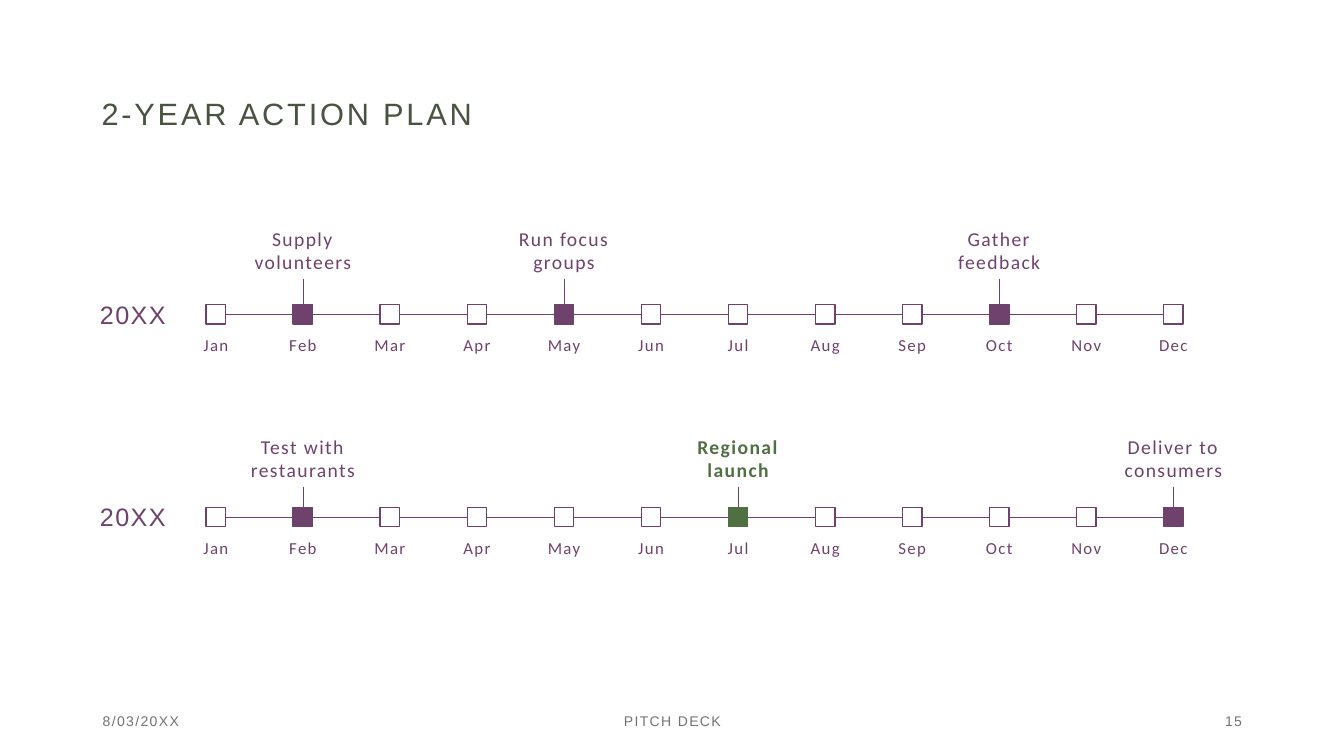
from lxml import etree
from pptx import Presentation
from pptx.dml.color import RGBColor
from pptx.enum.shapes import MSO_CONNECTOR, MSO_SHAPE
from pptx.enum.text import MSO_ANCHOR, PP_ALIGN
from pptx.oxml.ns import qn
from pptx.util import Cm, Pt

PLUM = RGBColor(0x6F, 0x42, 0x6D)
GREEN = RGBColor(0x50, 0x6F, 0x42)
OLIVE = RGBColor(0x48, 0x54, 0x41)
GREY = RGBColor(0x76, 0x71, 0x71)

LEFT, CENTER, RIGHT = PP_ALIGN.LEFT, PP_ALIGN.CENTER, PP_ALIGN.RIGHT
TOP, MIDDLE, BOTTOM = MSO_ANCHOR.TOP, MSO_ANCHOR.MIDDLE, MSO_ANCHOR.BOTTOM
STRAIGHT = MSO_CONNECTOR.STRAIGHT
RECTANGLE = MSO_SHAPE.RECTANGLE

TITLE_FONT = {"name": "Arial", "size": Pt(22), "color": OLIVE}
YEAR_FONT = {"name": "Arial", "size": Pt(18), "color": PLUM}
MONTH_FONT = {"name": "Calibri", "size": Pt(12), "color": PLUM}
MILESTONE_FONT = {"name": "Calibri", "size": Pt(14), "color": PLUM}
LAUNCH_FONT = {**MILESTONE_FONT, "color": GREEN, "bold": True}
FOOTER_FONT = {"name": "Arial", "size": Pt(10), "color": GREY}

MONTHS = ["Jan", "Feb", "Mar", "Apr", "May", "Jun",
          "Jul", "Aug", "Sep", "Oct", "Nov", "Dec"]
JAN_X, DEC_X = 5.44, 29.57
MONTH_STEP = (DEC_X - JAN_X) / (len(MONTHS) - 1)
MARKER = 0.49
MONTH_WIDTH = 1.5
MILESTONE_WIDTH = 3.99
STEM_LENGTH = 0.97

# Axis height, lower edge of the milestone texts, their height, and the milestones
YEARS = [
    (7.92, 7.02, 1.3, {"Feb": ("Supply volunteers", MILESTONE_FONT),
                       "May": ("Run focus groups", MILESTONE_FONT),
                       "Oct": ("Gather feedback", MILESTONE_FONT)}),
    (13.03, 12.26, 1.14, {"Feb": ("Test with restaurants", MILESTONE_FONT),
                          "Jul": ("Regional launch", LAUNCH_FONT),
                          "Dec": ("Deliver to consumers", MILESTONE_FONT)}),
]

FOOTER = [("8/03/20XX", 2.34, 7.62, LEFT),
          ("PITCH DECK", 11.23, 11.43, CENTER),
          ("15", 23.93, 7.62, RIGHT)]


def add_label(slide, text, box, font, align=CENTER, anchor=MIDDLE,
              line_spacing=1.0, letter_spacing=1):
    """Add a wrapped one-paragraph text box; box is left, top, width, height in cm."""
    frame = slide.shapes.add_textbox(*map(Cm, box)).text_frame
    frame.word_wrap = True
    frame.vertical_anchor = anchor
    paragraph = frame.paragraphs[0]
    paragraph.alignment = align
    paragraph.line_spacing = line_spacing
    run = paragraph.add_run()
    run.text = text
    for key, value in font.items():
        if key == "color":
            run.font.color.rgb = value
        else:
            setattr(run.font, key, value)
    run._r.get_or_add_rPr().set("spc", str(letter_spacing * 100))


def add_line(slide, x1, y1, x2, y2):
    line = slide.shapes.add_connector(STRAIGHT, *map(Cm, (x1, y1, x2, y2)))
    line.line.color.rgb = PLUM
    line.line.width = Pt(0.5)
    etree.SubElement(line._element.spPr, qn("a:effectLst"))


def add_marker(slide, x, y, color, filled):
    marker = slide.shapes.add_shape(
        RECTANGLE, Cm(x - MARKER / 2), Cm(y - MARKER / 2), Cm(MARKER), Cm(MARKER))
    marker.shadow.inherit = False
    marker.line.color.rgb = color
    marker.line.width = Pt(1)
    if filled:
        marker.fill.solid()
        marker.fill.fore_color.rgb = color
    else:
        marker.fill.background()


def add_year(slide, axis_y, milestone_bottom, milestone_height, milestones):
    add_label(slide, "20XX", (1.93, axis_y - 0.66, 2.84, 1.4), YEAR_FONT,
              line_spacing=0.9)
    for index, month in enumerate(MONTHS):
        x = JAN_X + index * MONTH_STEP
        add_label(slide, month, (x - MONTH_WIDTH / 2, axis_y + 0.49, MONTH_WIDTH, 1.8),
                  MONTH_FONT, anchor=TOP, line_spacing=0.8)
        if month != MONTHS[-1]:
            add_line(slide, x + MARKER / 2, axis_y, x + MONTH_STEP - MARKER / 2, axis_y)
        color = PLUM
        if month in milestones:
            text, font = milestones[month]
            color = font["color"]
            add_label(slide, text,
                      (x - MILESTONE_WIDTH / 2, milestone_bottom - milestone_height,
                       MILESTONE_WIDTH, milestone_height), font, anchor=BOTTOM)
            add_line(slide, x, milestone_bottom, x, milestone_bottom + STEM_LENGTH)
        add_marker(slide, x, axis_y, color, month in milestones)


def main():
    deck = Presentation()
    deck.slide_width, deck.slide_height = Cm(33.87), Cm(19.05)
    slide = deck.slides.add_slide(deck.slide_layouts[6])
    add_label(slide, "2-YEAR ACTION PLAN", (2.31, 2.01, 12.19, 1.78), TITLE_FONT,
              align=LEFT, line_spacing=0.9, letter_spacing=2)
    for year in YEARS:
        add_year(slide, *year)
    for text, left, width, align in FOOTER:
        add_label(slide, text, (left, 17.65, width, 1.02), FOOTER_FONT, align=align)
    deck.save("out.pptx")


if __name__ == "__main__":
    main()
